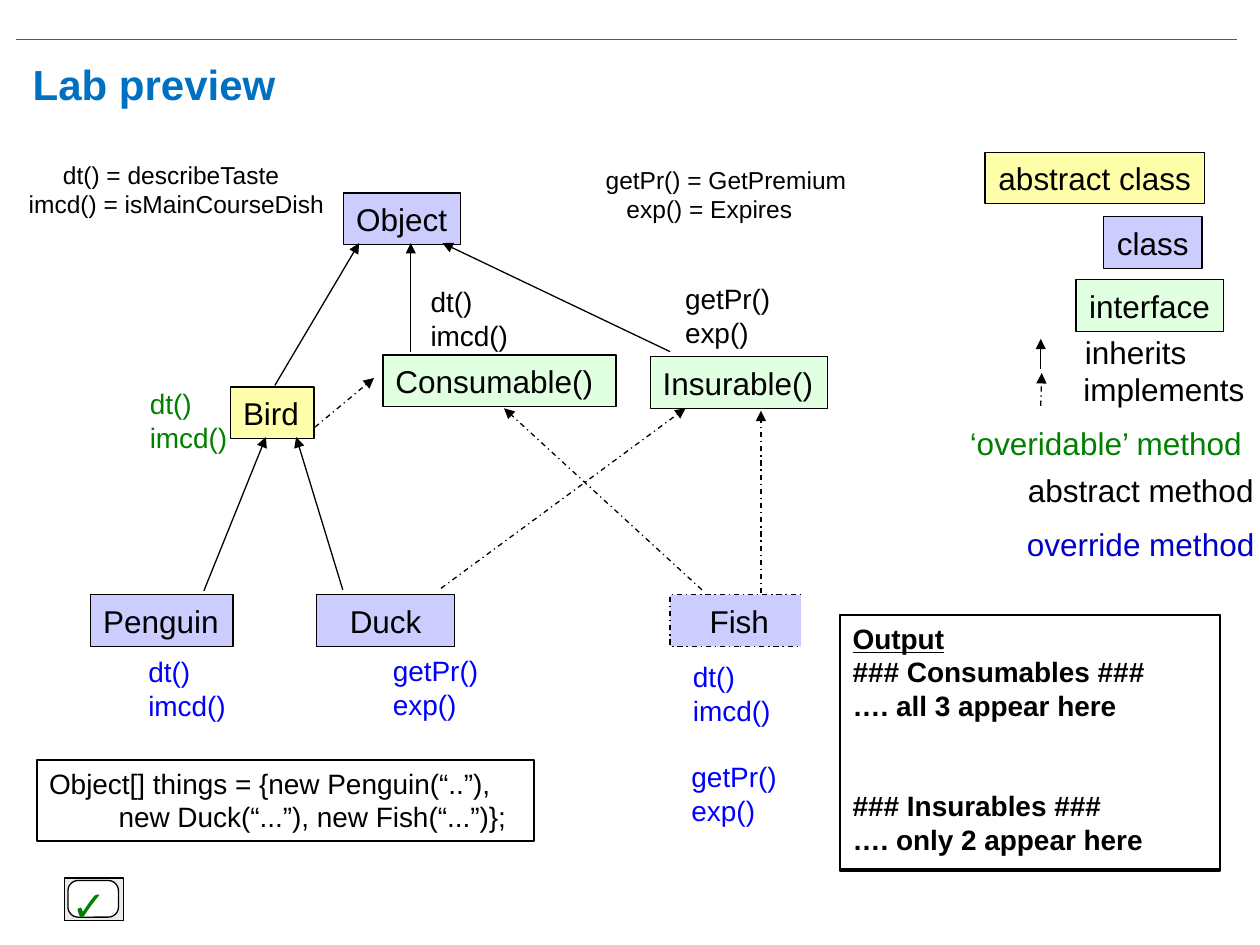
import pptx
import pptx.dml.color
import pptx.enum.dml
import pptx.enum.shapes
import pptx.enum.text
import pptx.oxml
import pptx.util
from dataclasses import dataclass
from lxml import etree

Cm = pptx.util.Cm
Pt = pptx.util.Pt
Shapes = pptx.enum.shapes.MSO_SHAPE
Align = pptx.enum.text.PP_ALIGN
Anchor = pptx.enum.text.MSO_ANCHOR


@dataclass(frozen=True)
class Theme:
    font: str = "Arial"
    title: str = "0070C0"
    black: str = "000000"
    white: str = "FFFFFF"
    concrete: str = "CCCCFF"
    abstract: str = "FFFFAA"
    interface: str = "E1FFE1"
    overridable: str = "008000"
    override: str = "0000FF"
    override_legend: str = "0000C8"
    button: str = "EAEAEA"
    title_size: int = 24
    box_size: int = 18
    method_size: int = 16
    note_size: int = 14


THEME = Theme()
TASTE = ["dt()", "imcd()"]
PREMIUM = ["getPr()", "exp()"]


def color(value):
    return pptx.dml.color.RGBColor.from_string(value)


def write(shape, lines, size, ink=THEME.black, bold=False, centred=False,
          anchor=Anchor.TOP, indents=()):
    frame = shape.text_frame
    frame.word_wrap = True
    frame.auto_size = pptx.enum.text.MSO_AUTO_SIZE.NONE
    frame.vertical_anchor = anchor
    frame.margin_left = Cm(0 if centred else 0.25)
    frame.margin_right = Cm(0)
    frame.text = "\n".join(lines)
    for paragraph in frame.paragraphs:
        paragraph.alignment = Align.CENTER if centred else Align.LEFT
        paragraph.font.name = THEME.font
        paragraph.font.size = Pt(size)
        paragraph.font.bold = bold
        paragraph.font.color.rgb = color(ink)
    for paragraph, indent in zip(frame.paragraphs, indents):
        paragraph._p.get_or_add_pPr().set("marL", str(Cm(indent)))


def add_label(slide, lines, left, top, width, height, size, **style):
    shape = slide.shapes.add_textbox(Cm(left), Cm(top), Cm(width), Cm(height))
    write(shape, lines, size, **style)


def add_methods(slide, lines, left, top, ink):
    add_label(slide, lines, left, top, 2.26, 1.63, THEME.method_size, ink=ink)


def add_box(slide, left, top, width, height, fill=None, line=0.75, kind=Shapes.RECTANGLE):
    shape = slide.shapes.add_shape(kind, Cm(left), Cm(top), Cm(width), Cm(height))
    shape.shadow.inherit = False
    if fill:
        shape.fill.solid()
        shape.fill.fore_color.rgb = color(fill)
    else:
        shape.fill.background()
    if line:
        shape.line.color.rgb = color(THEME.black)
        shape.line.width = Pt(line)
    else:
        shape.line.fill.background()
    return shape


def add_type(slide, name, left, top, width, fill, centred=False):
    shape = add_box(slide, left, top, width, 1.04, fill)
    write(shape, [name], THEME.box_size, centred=centred, anchor=Anchor.MIDDLE)
    return shape


def dash(line):
    line.dash_style = pptx.enum.dml.MSO_LINE.DASH_DOT


def add_line(slide, start, end, ink=THEME.black):
    connector = slide.shapes.add_connector(
        pptx.enum.shapes.MSO_CONNECTOR.STRAIGHT, *map(Cm, start + end))
    connector.line.color.rgb = color(ink)
    connector.line.width = Pt(0.75)
    etree.SubElement(connector._element.spPr, pptx.oxml.ns.qn("a:effectLst"))
    return connector


def add_arrow(slide, start, end, implements=False):
    line = add_line(slide, start, end).line
    if implements:
        dash(line)
    head = etree.SubElement(line._get_or_add_ln(), pptx.oxml.ns.qn("a:tailEnd"))
    head.set("type", "triangle")


def add_title(slide):
    add_line(slide, (0.33, 0.79), (24.94, 0.79), THEME.title)
    title = slide.shapes.title
    title.left, title.top, title.width, title.height = map(Cm, (0.41, 0.99, 24.41, 1.4))
    write(title, ["Lab preview"], THEME.title_size, ink=THEME.title, bold=True,
          anchor=Anchor.MIDDLE)


def add_legend(slide):
    add_type(slide, "abstract class", 19.86, 3.07, 4.42, THEME.abstract, True)
    add_type(slide, "class", 22.25, 4.37, 1.98, THEME.concrete, True)
    add_type(slide, "interface", 21.69, 5.64, 2.97, THEME.interface, True)
    add_arrow(slide, (20.98, 7.44), (20.98, 6.83))
    add_arrow(slide, (20.98, 8.18), (21, 7.52), True)
    for text, left, top, width, ink in (
        ("inherits", 21.62, 6.58, 2.57, THEME.black),
        ("implements", 21.59, 7.34, 3.76, THEME.black),
        ("‘overidable’ method", 19.3, 8.43, 6.22, THEME.overridable),
        ("abstract method", 20.47, 9.37, 5.05, THEME.black),
        ("override method", 20.45, 10.46, 5.11, THEME.override_legend),
    ):
        add_label(slide, [text], left, top, width, 1.02, THEME.box_size, ink=ink)


def add_hierarchy(slide):
    add_type(slide, "Object", 6.93, 3.89, 2.36, THEME.concrete)
    add_type(slide, "Bird", 4.65, 7.8, 1.68, THEME.abstract)
    add_type(slide, "Consumable()", 7.72, 7.16, 4.7, THEME.interface)
    add_type(slide, "Insurable()", 13.11, 7.19, 3.58, THEME.interface)
    add_type(slide, "Penguin", 1.83, 11.99, 2.87, THEME.concrete)
    add_type(slide, "Duck", 6.38, 11.99, 2.79, THEME.concrete, True)
    fish = add_type(slide, "Fish", 13.51, 11.99, 2.79, THEME.concrete, True)
    dash(fish.line)

    for start, end in (
        ((5.54, 7.77), (7.24, 4.9)),
        ((8.28, 7.09), (8.28, 4.9)),
        ((13.51, 7.09), (8.92, 4.9)),
        ((4.11, 11.91), (5.36, 8.81)),
        ((6.91, 11.89), (5.97, 8.81)),
    ):
        add_arrow(slide, start, end)
    for start, end in (
        ((6.35, 8.61), (7.54, 7.62)),
        ((8.89, 11.86), (13.82, 8.23)),
        ((14.15, 11.89), (10.16, 8.23)),
        ((15.34, 11.96), (15.34, 8.28)),
    ):
        add_arrow(slide, start, end, True)

    add_methods(slide, TASTE, 8.43, 5.61, THEME.black)
    add_methods(slide, PREMIUM, 13.56, 5.56, THEME.black)
    add_methods(slide, TASTE, 2.77, 7.67, THEME.overridable)
    add_methods(slide, TASTE, 2.74, 13.08, THEME.override)
    add_methods(slide, PREMIUM, 7.67, 13.06, THEME.override)
    add_methods(slide, TASTE, 13.72, 13.18, THEME.override)
    add_methods(slide, PREMIUM, 13.69, 15.19, THEME.override)


def add_output(slide):
    add_box(slide, 16.15, 11.94, 8.74, 6.25, THEME.white, line=0)
    output = add_box(slide, 16.94, 12.4, 7.65, 5.16, line=1)
    write(output, ["Output", "### Consumables ###", "…. all 3 appear here",
                   "### Insurables ###", "…. only 2 appear here"],
          THEME.method_size, bold=True)
    paragraphs = output.text_frame.paragraphs
    paragraphs[0].font.underline = True
    paragraphs[3].space_before = Pt(38)
    add_box(slide, 16.94, 12.4, 7.65, 5.12, line=1)


def add_code(slide):
    add_box(slide, 0, 14.88, 11.46, 2.39, THEME.white, line=0)
    code = add_box(slide, 0.74, 15.32, 10.03, 1.63, line=1)
    write(code, ["Object[] things = {new Penguin(“..”),",
                 "new Duck(“...”), new Fish(“...”)};"],
          THEME.method_size, indents=(0, 1.4))


def add_tick(slide):
    add_box(slide, 1.3, 17.7, 1.19, 0.86, THEME.button)
    key = add_box(slide, 1.37, 17.75, 1.02, 0.74, THEME.white,
                  kind=Shapes.ROUNDED_RECTANGLE)
    key.adjustments[0] = 0.28
    add_label(slide, ["✓"], 1.19, 17.6, 1.17, 1.27, THEME.title_size,
              ink=THEME.overridable, bold=True)


def main():
    presentation = pptx.Presentation()
    presentation.slide_width = Cm(25.4)
    presentation.slide_height = Cm(19.05)
    slide = presentation.slides.add_slide(presentation.slide_layouts[5])
    add_title(slide)
    add_legend(slide)
    add_hierarchy(slide)
    add_tick(slide)
    add_output(slide)
    add_code(slide)
    add_label(slide, ["dt() = describeTaste", "imcd() = isMainCourseDish"],
              0.33, 3.1, 6.5, 1.45, THEME.note_size, indents=(0.69, 0))
    add_label(slide, ["getPr() = GetPremium", "exp() = Expires"],
              11.84, 3.2, 5.54, 1.45, THEME.note_size, indents=(0.12, 0.54))
    presentation.save("out.pptx")


if __name__ == "__main__":
    main()
